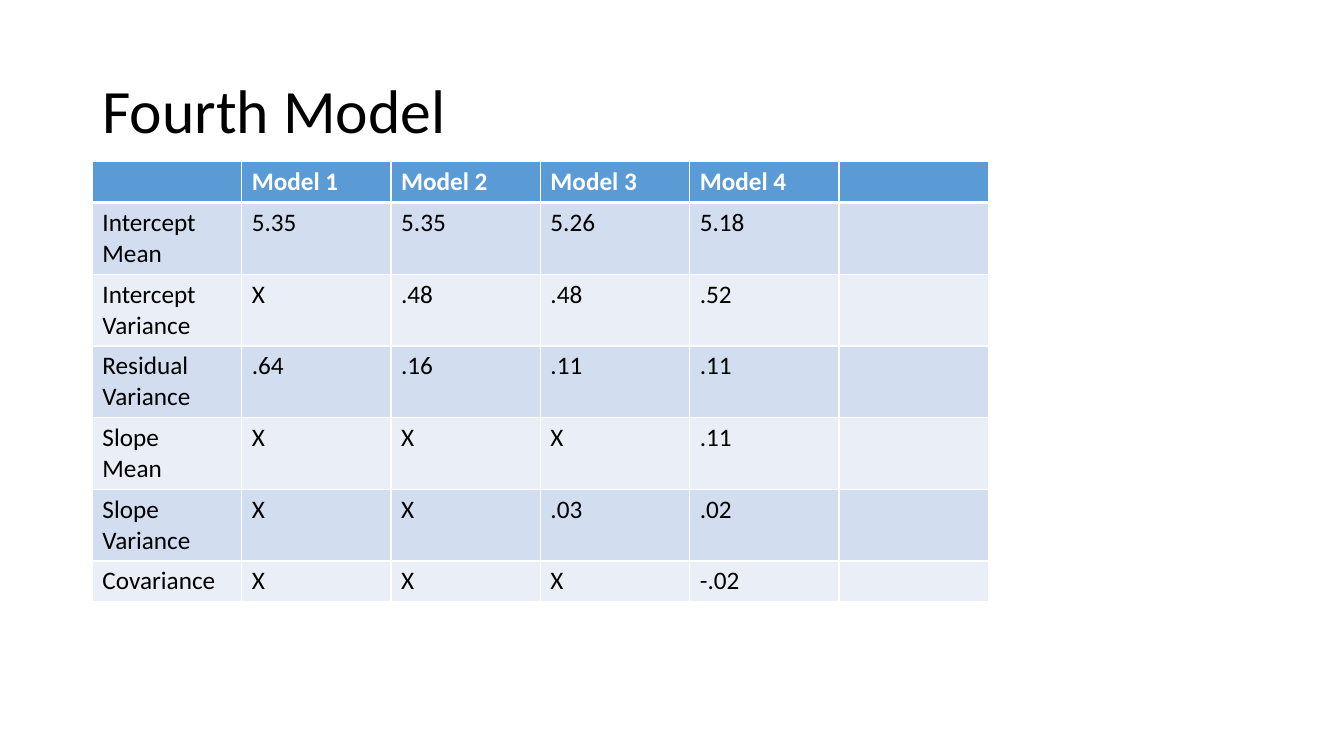
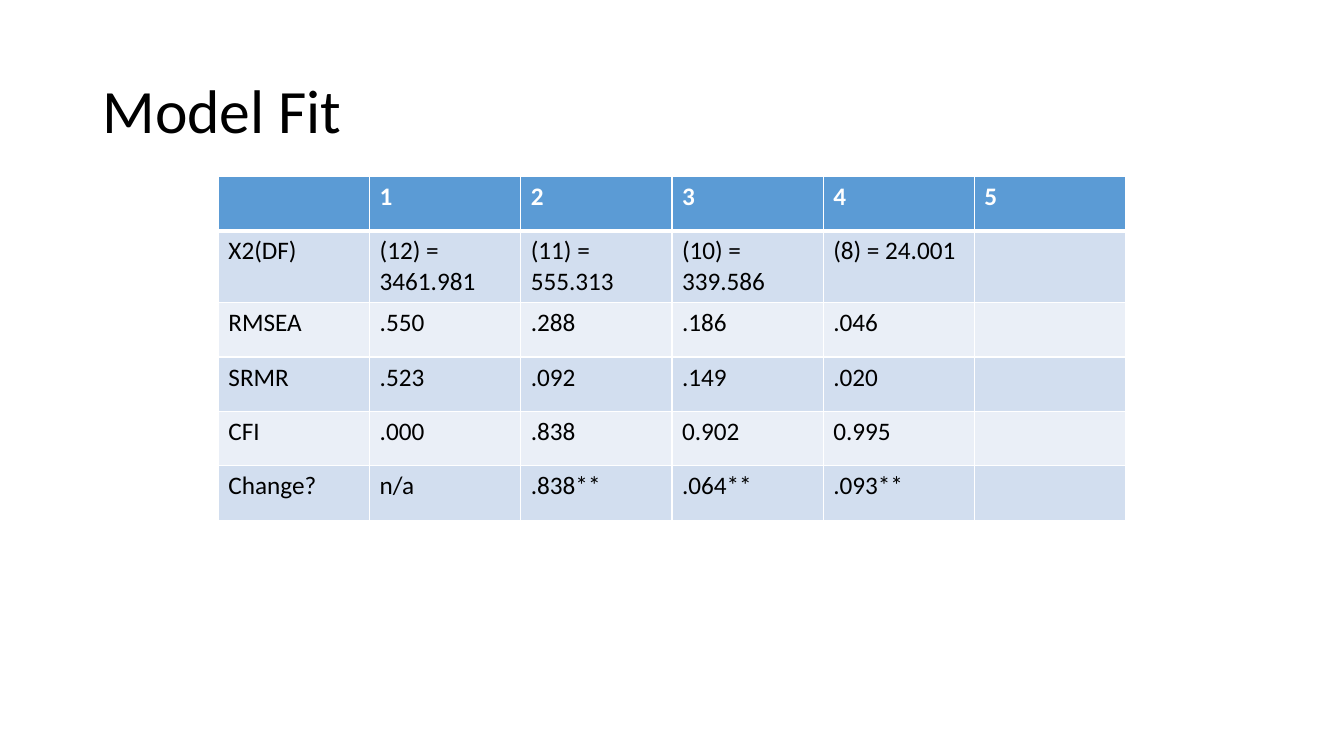
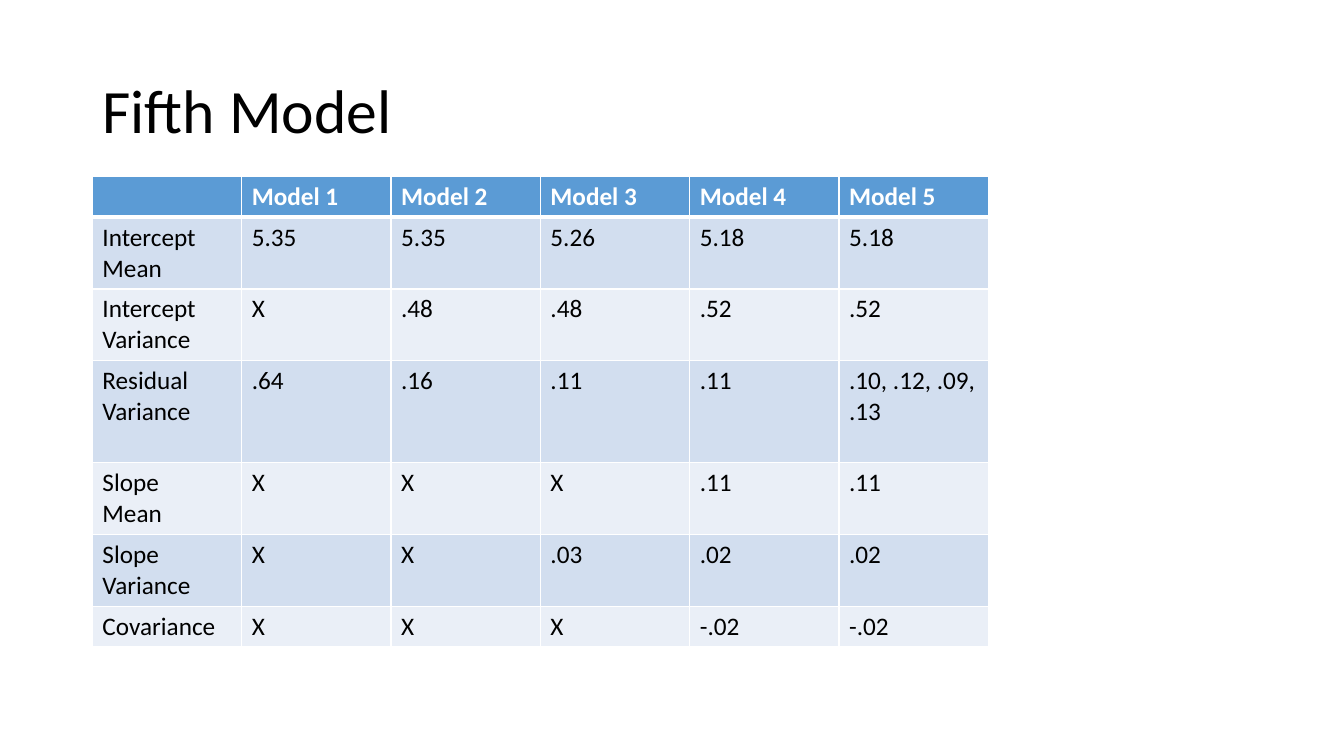
from lxml import etree
from pptx import Presentation
from pptx.dml.color import RGBColor
from pptx.enum import text
from pptx.oxml import ns
from pptx.util import Pt

FONT = "Calibri"
BLACK = RGBColor(0x00, 0x00, 0x00)
WHITE = RGBColor(0xFF, 0xFF, 0xFF)
HEADER_BLUE = RGBColor(0x5B, 0x9B, 0xD5)
BAND_DARK = RGBColor(0xD2, 0xDE, 0xEF)
BAND_LIGHT = RGBColor(0xEA, 0xEF, 0xF7)

# Row heights for one and two lines of text, and for the roomier rows
ONE_LINE, TWO_LINES, ROOMY, TALL = 29.2, 51.2, 38.9, 73


def format_run(run, size, color, bold=False):
    run.font.name = FONT
    run.font.size = Pt(size)
    run.font.color.rgb = color
    run.font.bold = bold


def add_border(cell, side, width):
    line = etree.SubElement(cell._tc.get_or_add_tcPr(), ns.qn("a:ln" + side), w=str(Pt(width)))
    fill = etree.SubElement(line, ns.qn("a:solidFill"))
    etree.SubElement(fill, ns.qn("a:srgbClr"), val=str(WHITE))


# Table contents; a line break starts a new paragraph
fifth_model = [
    ["", "Model 1", "Model 2", "Model 3", "Model 4", "Model 5"],
    ["Intercept\nMean", "5.35", "5.35", "5.26", "5.18", "5.18"],
    ["Intercept\nVariance", "X", ".48", ".48", ".52", ".52"],
    ["Residual\nVariance", ".64", ".16", ".11", ".11", ".10, .12, .09, .13"],
    ["Slope\nMean", "X", "X", "X", ".11", ".11"],
    ["Slope\nVariance", "X", "X", ".03", ".02", ".02"],
    ["Covariance", "X", "X", "X", "-.02", "-.02"],
]
fourth_model = [row[:-1] + [""] for row in fifth_model]
model_fit = [
    ["", "1", "2", "3", "4", "5"],
    ["X2(DF)", "(12) = 3461.981", "(11) = 555.313", "(10) = 339.586", "(8) = 24.001", ""],
    ["RMSEA", ".550", ".288", ".186", ".046", ""],
    ["SRMR", ".523", ".092", ".149", ".020", ""],
    ["CFI", ".000", ".838", "0.902", "0.995", ""],
    ["Change?", "n/a", ".838**", ".064**", ".093**", ""],
]

# Title, rows, table left, table top, column width, row heights
slides = [
    ("Fourth Model", fourth_model, 66, 115.5, 106.67,
     [ONE_LINE] + [TWO_LINES] * 5 + [ONE_LINE]),
    ("Model Fit", model_fit, 156, 126, 108,
     [ROOMY, TWO_LINES] + [ROOMY] * 4),
    ("Fifth Model", fifth_model, 66, 126, 106.67,
     [ONE_LINE] + [TWO_LINES] * 2 + [TALL] + [TWO_LINES] * 2 + [ONE_LINE]),
]

presentation = Presentation()
presentation.slide_width, presentation.slide_height = Pt(960), Pt(540)

for title_text, rows, left, top, column_width, row_heights in slides:
    slide = presentation.slides.add_slide(presentation.slide_layouts[5])

    # Title
    title = slide.shapes.title
    title.left, title.top, title.width, title.height = Pt(66), Pt(28.75), Pt(828), Pt(104.4)
    title.text_frame.auto_size = text.MSO_AUTO_SIZE.NONE
    title.text_frame.vertical_anchor = text.MSO_ANCHOR.MIDDLE
    paragraph = title.text_frame.paragraphs[0]
    paragraph.alignment = text.PP_ALIGN.LEFT
    paragraph.line_spacing = 0.9
    run = paragraph.add_run()
    run.text = title_text
    format_run(run, 44, BLACK)

    # Table grid
    column_count = len(rows[0])
    table = slide.shapes.add_table(
        len(rows), column_count, Pt(left), Pt(top),
        Pt(column_width * column_count), Pt(sum(row_heights))).table
    for column in table.columns:
        column.width = Pt(column_width)

    # Cells
    for row_index, values in enumerate(rows):
        table.rows[row_index].height = Pt(row_heights[row_index])
        is_header = row_index == 0
        band = BAND_DARK if row_index % 2 else BAND_LIGHT
        for column_index, value in enumerate(values):
            cell = table.cell(row_index, column_index)
            for side in "LRTB":
                thick = (is_header and side == "B") or (row_index == 1 and side == "T")
                add_border(cell, side, 3 if thick else 1)
            cell.fill.solid()
            cell.fill.fore_color.rgb = HEADER_BLUE if is_header else band
            if not value:
                continue
            for line_index, line_text in enumerate(value.split("\n")):
                frame = cell.text_frame
                paragraph = frame.add_paragraph() if line_index else frame.paragraphs[0]
                run = paragraph.add_run()
                run.text = line_text
                format_run(run, 18, WHITE if is_header else BLACK, is_header)

presentation.save("out.pptx")
